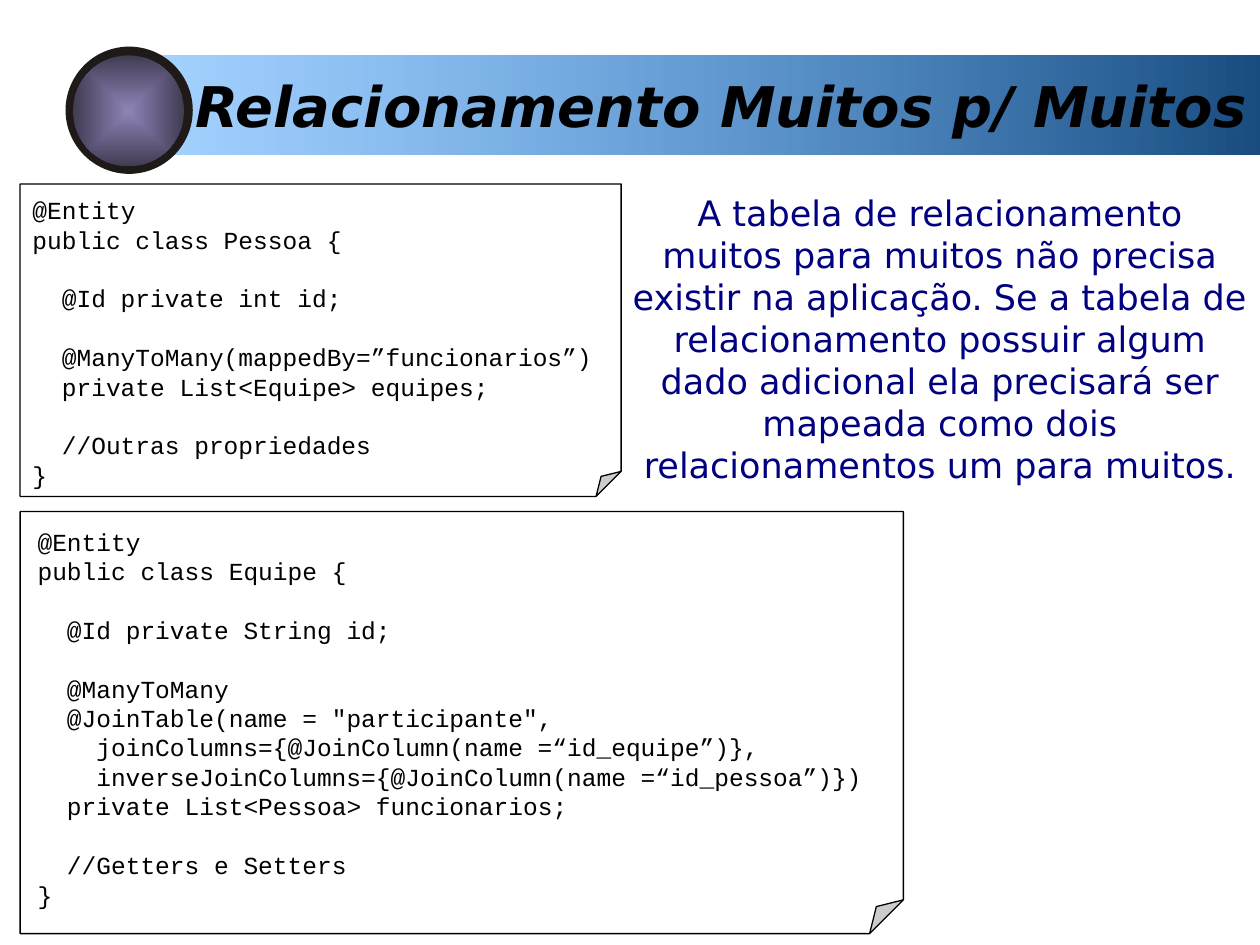
"""Build the slide about many-to-many relationships between two entities."""
from dataclasses import dataclass

import pptx
import pptx.dml.color
import pptx.enum.shapes
import pptx.enum.text
import pptx.oxml
import pptx.oxml.ns
import pptx.util

RGBColor = pptx.dml.color.RGBColor
Shape = pptx.enum.shapes.MSO_SHAPE
Align = pptx.enum.text.PP_ALIGN
Anchor = pptx.enum.text.MSO_ANCHOR

BLACK = RGBColor(0x00, 0x00, 0x00)
WHITE = RGBColor(0xFF, 0xFF, 0xFF)
NAVY = RGBColor(0x00, 0x00, 0x80)
DEEP_BLUE = RGBColor(0x19, 0x4D, 0x81)
SKY_BLUE = RGBColor(0x33, 0x99, 0xFF)
RIM = RGBColor(0x1F, 0x1A, 0x17)
LILAC = RGBColor(0x8E, 0x84, 0xB7)
DARK_LILAC = RGBColor(0x41, 0x3C, 0x54)

SLIDE_WIDTH = pptx.util.Inches(10)
SLIDE_HEIGHT = pptx.util.Inches(7.5)
COLUMN = SLIDE_WIDTH / 100
ROW = SLIDE_HEIGHT / 75
CODE_LINE = pptx.util.Pt(16.8)
CODE_INDENT = pptx.util.Pt(16.8)

TITLE_FONT = {"name": "DejaVu Sans", "size": pptx.util.Pt(32), "bold": True, "italic": True}
BODY_FONT = {"name": "DejaVu Sans", "size": pptx.util.Pt(20)}
CODE_FONT = {"name": "Courier New", "size": pptx.util.Pt(14)}
FRAME_FORMAT = {
    "word_wrap": True,
    "auto_size": pptx.enum.text.MSO_AUTO_SIZE.NONE,
    "vertical_anchor": Anchor.TOP,
    "margin_left": pptx.util.Inches(0.1),
    "margin_right": pptx.util.Inches(0.1),
    "margin_top": pptx.util.Inches(0.05),
    "margin_bottom": pptx.util.Inches(0.05),
}
LINEAR = '<a:lin ang="10800000" scaled="0"/>'
CENTRED = '<a:path path="rect"><a:fillToRect l="50000" t="50000" r="50000" b="50000"/></a:path>'


@dataclass(frozen=True)
class Area:
    """A rectangle in grid columns and rows."""
    column: float
    row: float
    columns: float
    rows: float

    def lengths(self) -> tuple[int, int, int, int]:
        """Return left, top, width and height."""
        return (round(self.column * COLUMN), round(self.row * ROW),
                round(self.columns * COLUMN), round(self.rows * ROW))


@dataclass(frozen=True)
class CodeLine:
    """One line of code with its indent level and the blank lines above it."""
    text: str
    level: int = 0
    blanks: int = 0


@dataclass(frozen=True)
class CodeNote:
    """A sheet with a folded corner and the code written on it."""
    sheet: Area
    code: Area
    lines: tuple[CodeLine, ...]


NOTES = (
    CodeNote(Area(1.6, 14.6, 47.7, 24.8), Area(1.6, 15, 47.7, 24.4), (
        CodeLine("@Entity"),
        CodeLine("public class Pessoa {"),
        CodeLine("@Id private int id;", 1, 1),
        CodeLine("@ManyToMany(mappedBy=”funcionarios”)", 1, 1),
        CodeLine("private List<Equipe> equipes;", 1),
        CodeLine("//Outras propriedades", 1, 1),
        CodeLine("}"),
    )),
    CodeNote(Area(1.6, 40.6, 70.1, 33.5), Area(2, 41.3, 71.6, 31.4), (
        CodeLine("@Entity"),
        CodeLine("public class Equipe {"),
        CodeLine("@Id private String id;", 1, 1),
        CodeLine("@ManyToMany", 1, 1),
        CodeLine('@JoinTable(name = "participante",', 1),
        CodeLine("joinColumns={@JoinColumn(name =“id_equipe”)},", 2),
        CodeLine("inverseJoinColumns={@JoinColumn(name =“id_pessoa”)})", 2),
        CodeLine("private List<Pessoa> funcionarios;", 1),
        CodeLine("//Getters e Setters", 1, 1),
        CodeLine("}"),
    )),
)


def apply_format(target, values: dict) -> None:
    """Set each attribute named in the format values."""
    for name, value in values.items():
        setattr(target, name, value)


def add_figure(page, kind, area: Area, color: RGBColor):
    """Draw a flat preset shape without outline."""
    figure = page.shapes.add_shape(kind, *area.lengths())
    figure.shadow.inherit = False
    figure.fill.solid()
    figure.fill.fore_color.rgb = color
    figure.line.fill.background()
    return figure


def set_gradient(figure, first: RGBColor, last: RGBColor, direction: str, opacity: int = 100) -> None:
    """Replace the solid fill with a two-colour gradient."""
    gradient = pptx.oxml.parse_xml(
        f'<a:gradFill {pptx.oxml.ns.nsdecls("a")} rotWithShape="1"><a:gsLst>'
        f'<a:gs pos="0"><a:srgbClr val="{first}"/></a:gs>'
        f'<a:gs pos="100000"><a:srgbClr val="{last}"><a:alpha val="{opacity * 1000}"/></a:srgbClr></a:gs>'
        f'</a:gsLst>{direction}</a:gradFill>')
    properties = figure._element.spPr
    solid = properties.find(pptx.oxml.ns.qn("a:solidFill"))
    properties.replace(solid, gradient)


def set_fold(sheet, share: float) -> None:
    """Set the folded corner's size as a share of the sheet's shorter side."""
    guides = sheet._element.spPr.find(".//" + pptx.oxml.ns.qn("a:avLst"))
    guides.append(pptx.oxml.parse_xml(
        f'<a:gd {pptx.oxml.ns.nsdecls("a")} name="adj" fmla="val {round(share * 100000)}"/>'))


def write_span(para, text: str, font: dict, color: RGBColor) -> None:
    """Add formatted text to a paragraph."""
    span = para.add_run()
    span.text = text
    apply_format(span.font, font)
    span.font.color.rgb = color


def fill_placeholder(page, box, area: Area, text: str, font: dict, color: RGBColor, align) -> None:
    """Move a placeholder to the front and write plain text in it."""
    page.shapes._spTree.append(box._element)
    apply_format(box, dict(zip(("left", "top", "width", "height"), area.lengths())))
    apply_format(box.text_frame, FRAME_FORMAT)
    para = box.text_frame.paragraphs[0]
    apply_format(para, {"alignment": align, "space_before": pptx.util.Pt(0)})
    properties = para._p.get_or_add_pPr()
    for name in ("marL", "indent"):
        properties.set(name, "0")
    properties.append(pptx.oxml.parse_xml(f'<a:buNone {pptx.oxml.ns.nsdecls("a")}/>'))
    write_span(para, text, font, color)


def add_note(page, note: CodeNote) -> None:
    """Draw the sheet and its lines of code."""
    sheet = add_figure(page, Shape.FOLDED_CORNER, note.sheet, WHITE)
    set_fold(sheet, 0.08)
    sheet.line.color.rgb = BLACK
    sheet.line.width = pptx.util.Pt(0.75)
    box = page.shapes.add_textbox(*note.code.lengths())
    apply_format(box.text_frame, FRAME_FORMAT)
    for number, line in enumerate(note.lines):
        para = box.text_frame.add_paragraph() if number else box.text_frame.paragraphs[0]
        para.space_before = pptx.util.Emu(line.blanks * CODE_LINE)
        para._p.get_or_add_pPr().set("marL", str(line.level * CODE_INDENT))
        write_span(para, line.text, CODE_FONT, BLACK)


def main() -> None:
    """Build and save the deck."""
    deck = pptx.Presentation()
    apply_format(deck, {"slide_width": SLIDE_WIDTH, "slide_height": SLIDE_HEIGHT})
    page = deck.slides.add_slide(deck.slide_layouts[1])
    band = add_figure(page, Shape.RECTANGLE, Area(12.2, 4.4, 87.8, 7.9), DEEP_BLUE)
    set_gradient(band, DEEP_BLUE, SKY_BLUE, LINEAR, 44)
    fill_placeholder(page, page.shapes.title, Area(14.5, 5.2, 87, 6.4),
                     "Relacionamento Muitos p/ Muitos", TITLE_FONT, BLACK, Align.LEFT)
    add_figure(page, Shape.OVAL, Area(5.2, 3.7, 10.1, 10.1), RIM)
    button = add_figure(page, Shape.OVAL, Area(5.8, 4.4, 8.8, 8.8), LILAC)
    set_gradient(button, LILAC, DARK_LILAC, CENTRED)
    for note in NOTES:
        add_note(page, note)
    fill_placeholder(page, page.placeholders[1], Area(49.2, 14.7, 50.8, 24.4),
                     "A tabela de relacionamento muitos para muitos não precisa existir na aplicação. "
                     "Se a tabela de relacionamento possuir algum dado adicional ela precisará ser "
                     "mapeada como dois relacionamentos um para muitos.", BODY_FONT, NAVY, Align.CENTER)
    deck.save("out.pptx")


if __name__ == "__main__":
    main()
